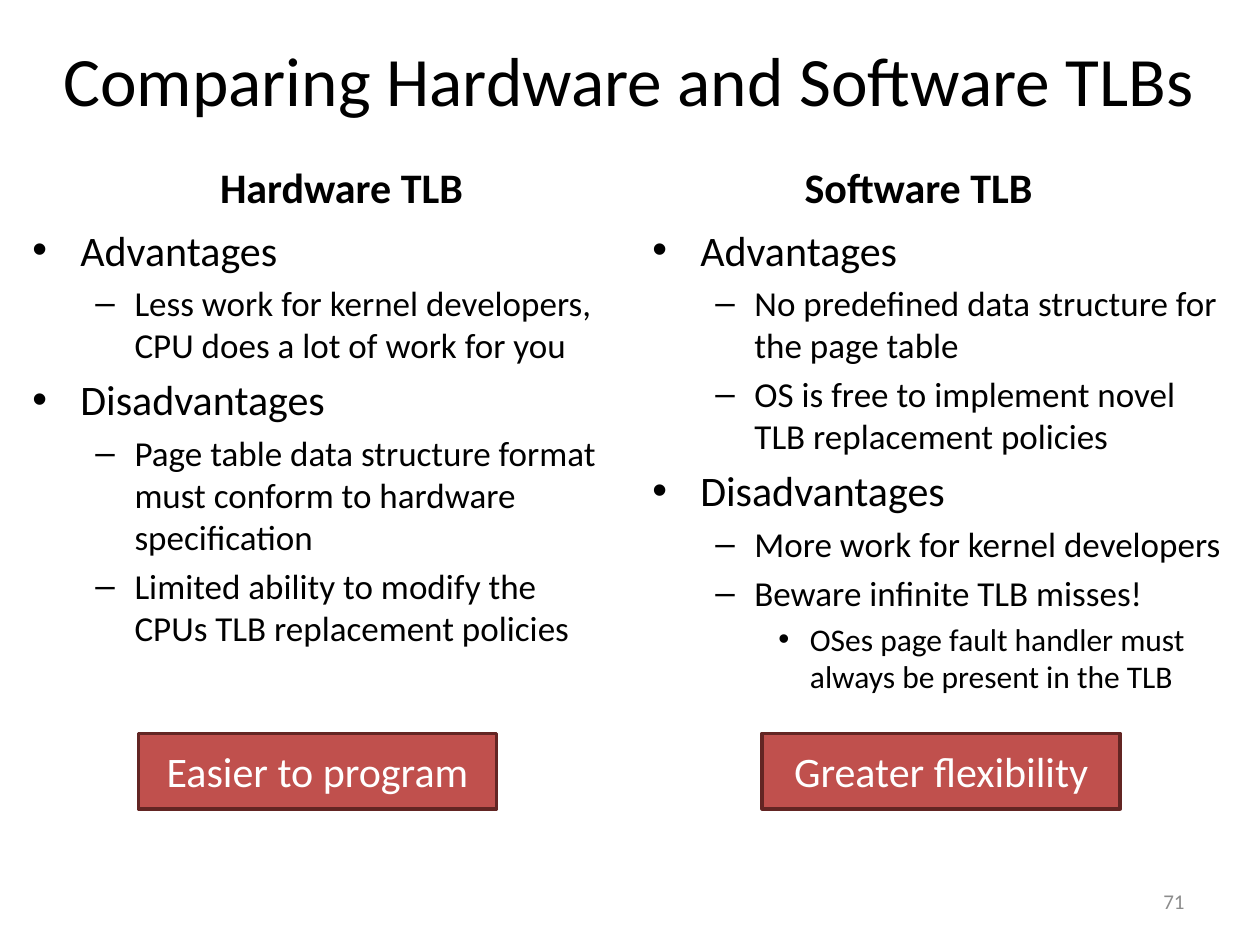
from lxml import etree
from pptx import Presentation
from pptx.dml.color import RGBColor
from pptx.enum.shapes import MSO_SHAPE
from pptx.enum.text import MSO_ANCHOR, PP_ALIGN
from pptx.oxml.ns import qn
from pptx.util import Inches, Pt

BLACK = RGBColor(0x00, 0x00, 0x00)
WHITE = RGBColor(0xFF, 0xFF, 0xFF)
GRAY = RGBColor(0x8C, 0x8C, 0x8C)
RED = RGBColor(0xC0, 0x50, 0x4D)
MAROON = RGBColor(0x63, 0x25, 0x23)

PROCESS = MSO_SHAPE.FLOWCHART_PROCESS
TOP, MIDDLE, BOTTOM = MSO_ANCHOR.TOP, MSO_ANCHOR.MIDDLE, MSO_ANCHOR.BOTTOM
LEFT, CENTER, RIGHT = PP_ALIGN.LEFT, PP_ALIGN.CENTER, PP_ALIGN.RIGHT

# Per list level: text size, left margin, hanging indent, bullet
LEVELS = [(24, 0.38, 0.38, "•"), (20, 0.81, 0.31, "–"), (18, 1.25, 0.25, "•")]

# Per column: heading and its left, list left and items, verdict and its left
COLUMNS = [
    ("Hardware TLB", 0.5, 0.16, [
        (0, "Advantages"),
        (1, "Less work for kernel developers, CPU does a lot of work for you"),
        (0, "Disadvantages"),
        (1, "Page table data structure format must conform to hardware "
            "specification"),
        (1, "Limited ability to modify the CPUs TLB replacement policies"),
    ], "Easier to program", 1.1),
    ("Software TLB", 5.08, 5.08, [
        (0, "Advantages"),
        (1, "No predefined data structure for the page table"),
        (1, "OS is free to implement novel TLB replacement policies"),
        (0, "Disadvantages"),
        (1, "More work for kernel developers"),
        (1, "Beware infinite TLB misses!"),
        (2, "OSes page fault handler must always be present in the TLB"),
    ], "Greater flexibility", 6.05),
]


def style(para, text, size, color=BLACK, align=LEFT, bold=False):
    para.text = text
    para.alignment = align
    font = para.font
    font.name, font.size, font.bold = "Calibri", Pt(size), bold
    font.color.rgb = color


def add_box(slide, left, top, width, height, anchor):
    box = slide.shapes.add_textbox(*map(Inches, (left, top, width, height)))
    frame = box.text_frame
    frame.word_wrap = True
    frame.vertical_anchor = anchor
    return frame


def add_label(slide, area, anchor, text, size, **look):
    frame = add_box(slide, *area, anchor)
    style(frame.paragraphs[0], text, size, **look)


def set_bullet(para, margin, hang, mark):
    props = para._p.get_or_add_pPr()
    props.set("marL", str(Inches(margin)))
    props.set("indent", str(-Inches(hang)))
    font = etree.Element(qn("a:buFont"), typeface="Arial")
    char = etree.Element(qn("a:buChar"), char=mark)
    # Bullets come after spacing and before the default run properties
    props.find(qn("a:defRPr")).addprevious(font)
    font.addnext(char)


def add_list(slide, area, items):
    frame = add_box(slide, *area, TOP)
    for i, (level, text) in enumerate(items):
        para = frame.add_paragraph() if i else frame.paragraphs[0]
        size, margin, hang, mark = LEVELS[level]
        style(para, text, size)
        para.level = level
        para.space_before = Pt(size * 0.2)
        set_bullet(para, margin, hang, mark)


def add_verdict(slide, left, text):
    box = slide.shapes.add_shape(
        PROCESS, *map(Inches, (left, 5.82, 2.84, 0.6)))
    box.shadow.inherit = False
    box.fill.solid()
    box.fill.fore_color.rgb = RED
    box.line.color.rgb = MAROON
    box.line.width = Pt(2)
    box.text_frame.vertical_anchor = MIDDLE
    style(box.text_frame.paragraphs[0], text, 24, WHITE, CENTER)


def main():
    deck = Presentation()
    deck.slide_width, deck.slide_height = Inches(10), Inches(7.5)
    slide = deck.slides.add_slide(deck.slide_layouts[6])

    # Title
    add_label(slide, (0.16, 0, 9.66, 1.25), MIDDLE,
              "Comparing Hardware and Software TLBs", 39.6, align=CENTER)

    # Two columns
    for head, head_left, list_left, items, verdict, box_left in COLUMNS:
        add_label(slide, (head_left, 1.25, 4.42, 0.48), BOTTOM, head, 24,
                  align=CENTER, bold=True)
        add_list(slide, (list_left, 1.73, 4.76, 5.2), items)
        add_verdict(slide, box_left, verdict)

    # Page number
    add_label(slide, (7.17, 6.95, 2.33, 0.4), MIDDLE, "71", 12,
              color=GRAY, align=RIGHT)

    deck.save("out.pptx")


if __name__ == "__main__":
    main()
